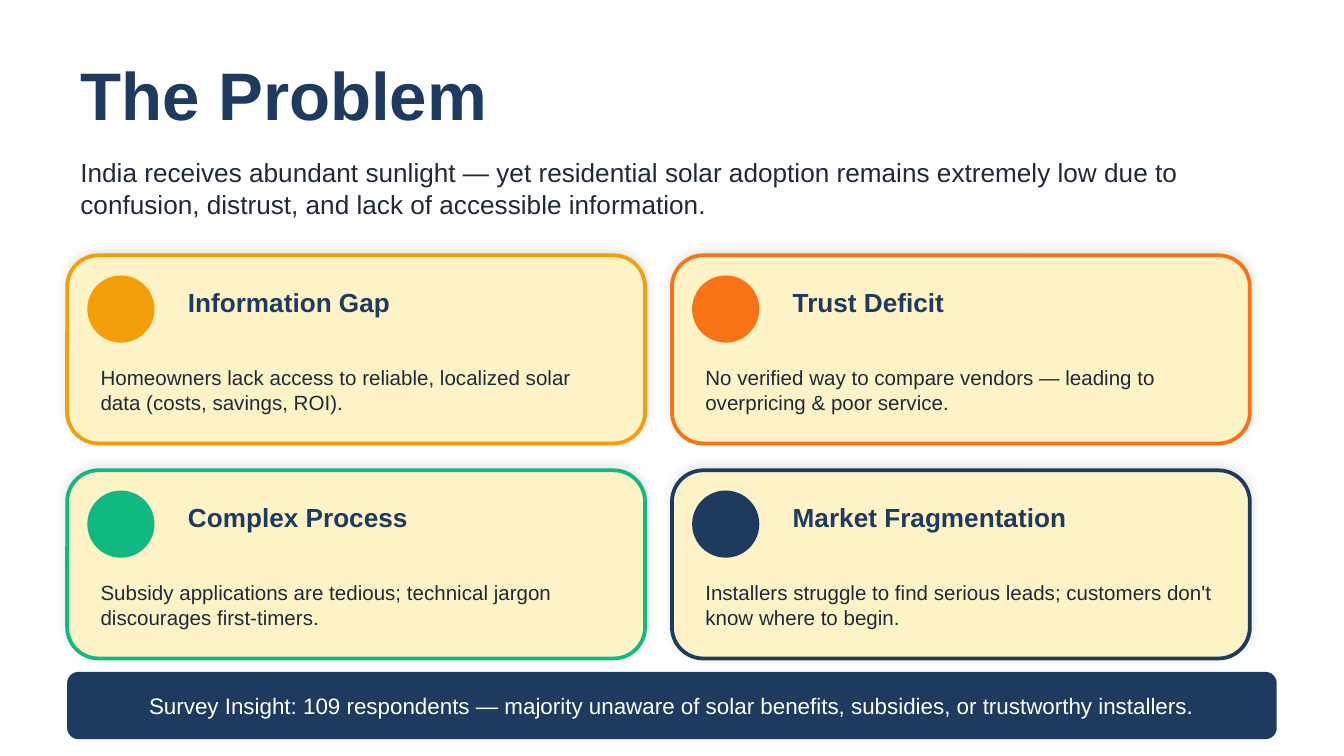
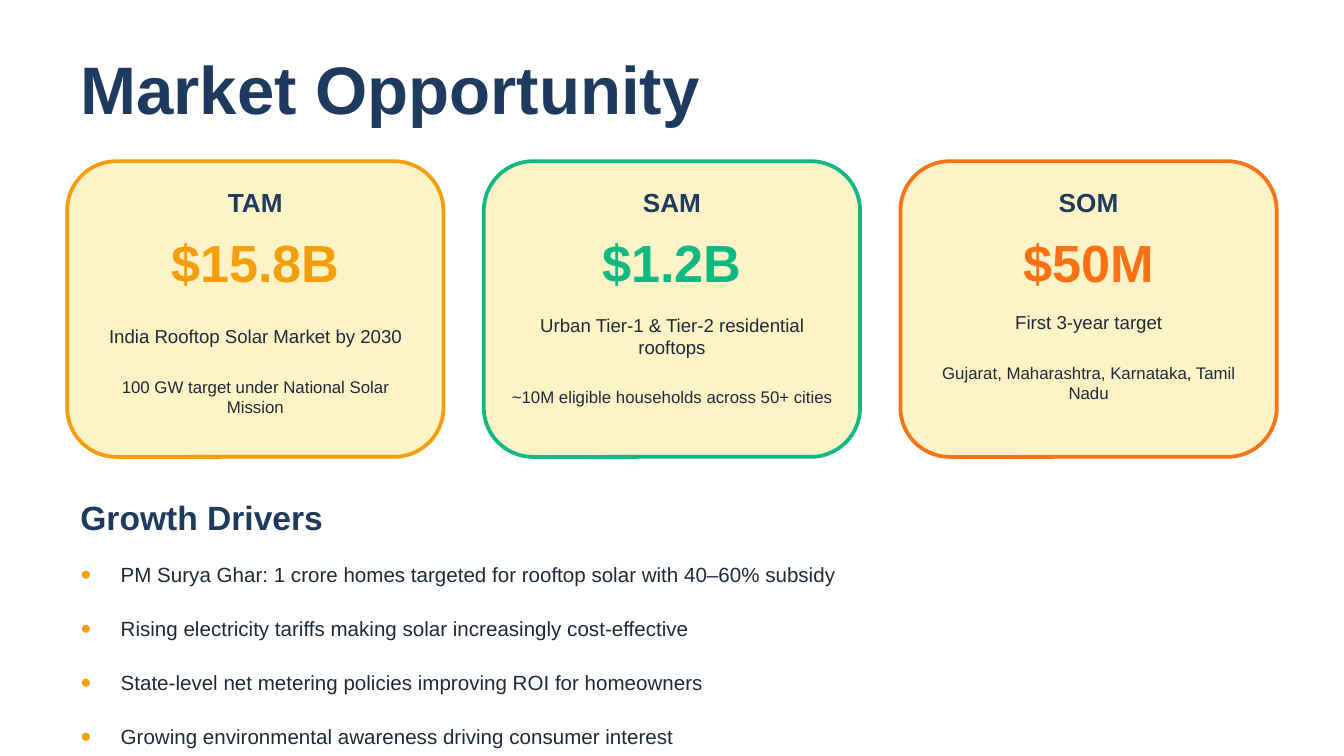
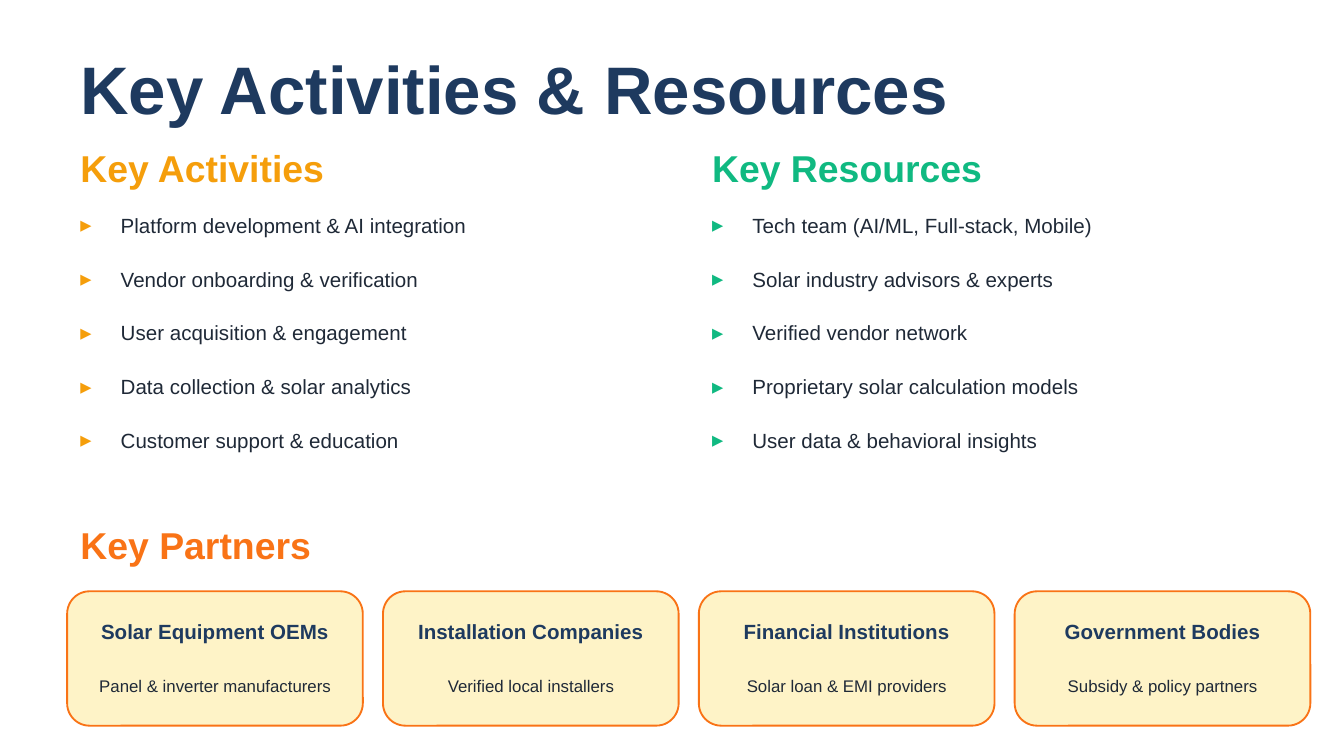
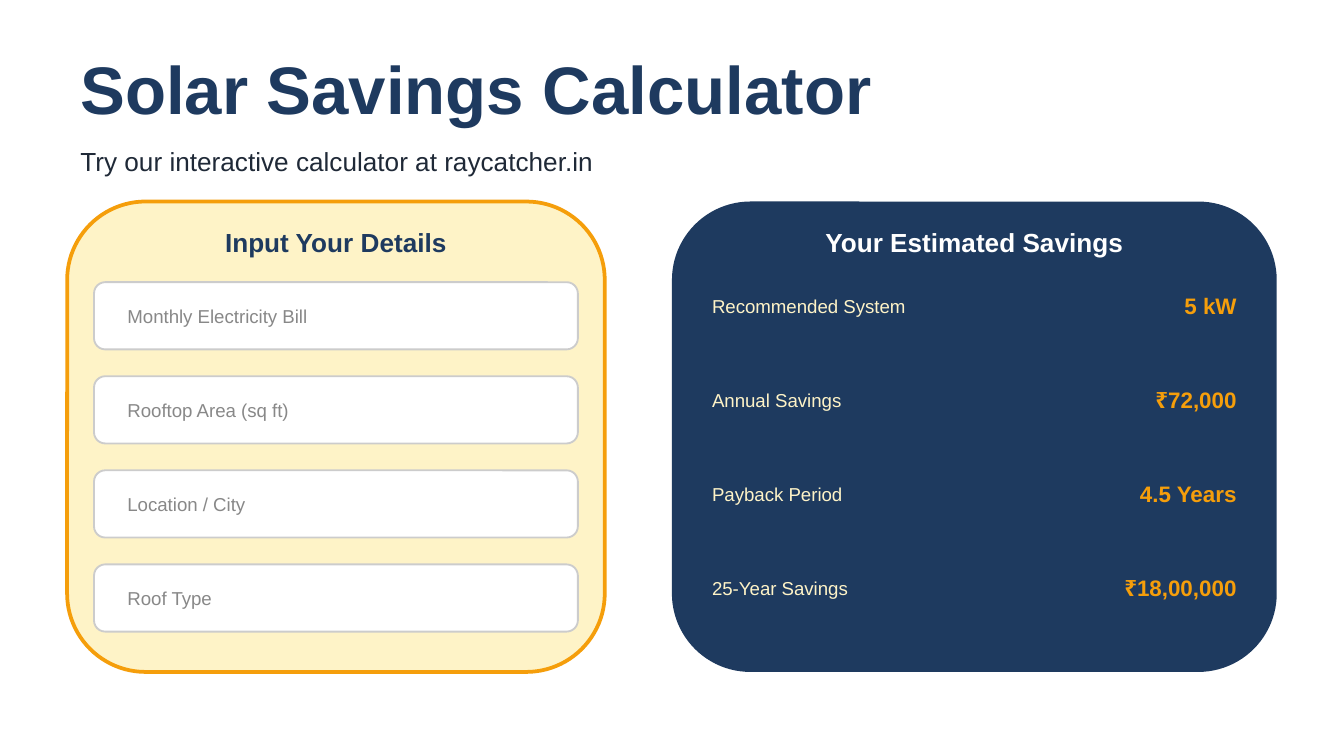
from lxml import etree
from pptx import Presentation
from pptx.dml.color import RGBColor
from pptx.enum import shapes, text
from pptx.oxml import ns
from pptx.util import Inches, Pt

FONT = "Arial"
COLORS = {
    "navy": "1E3A5F",
    "ink": "1F2937",
    "cream": "FEF3C7",
    "amber": "F59E0B",
    "orange": "F97316",
    "green": "10B981",
    "white": "FFFFFF",
    "border": "CCCCCC",
    "hint": "888888",
}
LEFT = 0.5
ROW_STEP = 0.4
LINE_STEP = 0.7
CENTER = text.PP_ALIGN.CENTER
RIGHT = text.PP_ALIGN.RIGHT
ROUNDED = shapes.MSO_SHAPE.ROUNDED_RECTANGLE

PROBLEMS = [
    ("Information Gap", "amber",
     "Homeowners lack access to reliable, localized solar data (costs, savings, ROI)."),
    ("Trust Deficit", "orange",
     "No verified way to compare vendors — leading to overpricing & poor service."),
    ("Complex Process", "green",
     "Subsidy applications are tedious; technical jargon discourages first-timers."),
    ("Market Fragmentation", "navy",
     "Installers struggle to find serious leads; customers don't know where to begin."),
]
MARKETS = [
    ("TAM", "$15.8B", "amber", "India Rooftop Solar Market by 2030",
     "100 GW target under National Solar Mission", 0.6),
    ("SAM", "$1.2B", "green", "Urban Tier-1 & Tier-2 residential rooftops",
     "~10M eligible households across 50+ cities", 0.6),
    ("SOM", "$50M", "orange", "First 3-year target",
     "Gujarat, Maharashtra, Karnataka, Tamil Nadu", 0.4),
]
DRIVERS = [
    "PM Surya Ghar: 1 crore homes targeted for rooftop solar with 40–60% subsidy",
    "Rising electricity tariffs making solar increasingly cost-effective",
    "State-level net metering policies improving ROI for homeowners",
    "Growing environmental awareness driving consumer interest",
]
ACTIVITIES = [
    "Platform development & AI integration",
    "Vendor onboarding & verification",
    "User acquisition & engagement",
    "Data collection & solar analytics",
    "Customer support & education",
]
RESOURCES = [
    "Tech team (AI/ML, Full-stack, Mobile)",
    "Solar industry advisors & experts",
    "Verified vendor network",
    "Proprietary solar calculation models",
    "User data & behavioral insights",
]
PARTNERS = [
    ("Solar Equipment OEMs", "Panel & inverter manufacturers"),
    ("Installation Companies", "Verified local installers"),
    ("Financial Institutions", "Solar loan & EMI providers"),
    ("Government Bodies", "Subsidy & policy partners"),
]
FIELDS = ["Monthly Electricity Bill", "Rooftop Area (sq ft)", "Location / City", "Roof Type"]
SAVINGS = [
    ("Recommended System", "5 kW"),
    ("Annual Savings", "₹72,000"),
    ("Payback Period", "4.5 Years"),
    ("25-Year Savings", "₹18,00,000"),
]


def rgb(name):
    """Return the named palette colour."""
    return RGBColor.from_string(COLORS[name])


def style_font(para, size, color, bold=False):
    """Set the font of a whole paragraph."""
    font = para.font
    font.name, font.size, font.bold = FONT, Pt(size), bold
    font.color.rgb = rgb(color)


def add_box(page, left, top, width, height):
    """Add an empty, wrapping, vertically centred text box and return its frame."""
    box = page.shapes.add_textbox(Inches(left), Inches(top), Inches(width), Inches(height))
    frame = box.text_frame
    frame.word_wrap = True
    frame.vertical_anchor = text.MSO_ANCHOR.MIDDLE
    return frame


def add_label(page, words, left, top, width, height, size, color="ink", bold=False, align=None):
    """Add a one-paragraph text box."""
    para = add_box(page, left, top, width, height).paragraphs[0]
    para.text = words
    para.alignment = align
    style_font(para, size, color, bold)


def add_title(page, words, height=0.7):
    """Add the slide title."""
    add_label(page, words, LEFT, 0.3, 9, height, 36, "navy", True)


def add_panel(page, left, top, width, height, fill="cream", line=None, weight=2, kind=ROUNDED):
    """Add a filled shape with an optional outline."""
    panel = page.shapes.add_shape(kind, Inches(left), Inches(top), Inches(width), Inches(height))
    panel.shadow.inherit = False
    panel.fill.solid()
    panel.fill.fore_color.rgb = rgb(fill)
    if line:
        panel.line.color.rgb = rgb(line)
        panel.line.width = Pt(weight)
    else:
        panel.line.fill.background()
    return panel


def add_soft_shadow(panel):
    """Give a panel a faint shadow that falls upwards."""
    effects = panel.element.spPr.find(ns.qn("a:effectLst"))
    shadow = etree.SubElement(effects, ns.qn("a:outerShdw"), blurRad=str(Pt(5)),
                              dist=str(Pt(2)), dir="16200000", rotWithShape="0")
    color = etree.SubElement(shadow, ns.qn("a:srgbClr"), val="000000")
    etree.SubElement(color, ns.qn("a:alpha"), val="10000")


def add_bullet(para, mark, color, percent):
    """Give a paragraph a coloured hanging bullet."""
    indent = Inches(0.3)
    props = para._p.get_or_add_pPr()
    props.set("marL", str(indent))
    props.set("indent", str(-indent))
    tint = etree.SubElement(props, ns.qn("a:buClr"))
    etree.SubElement(tint, ns.qn("a:srgbClr"), val=COLORS[color])
    etree.SubElement(props, ns.qn("a:buSzPct"), val=str(percent * 1000))
    etree.SubElement(props, ns.qn("a:buFont"), typeface=FONT)
    etree.SubElement(props, ns.qn("a:buChar"), char=mark)


def add_list(page, items, left, top, width, mark, color, percent):
    """Add a bulleted list with one item every ROW_STEP inches."""
    frame = add_box(page, left, top, width, ROW_STEP * len(items) - 0.05)
    for index, item in enumerate(items):
        para = frame.paragraphs[0] if index == 0 else frame.add_paragraph()
        para.text = item
        if index:
            para.space_before = Pt(15.6)
        add_bullet(para, mark, color, percent)
        style_font(para, 11, "ink")


def add_problem_card(page, left, top, heading, color, body):
    """Add a problem card with a coloured dot."""
    add_soft_shadow(add_panel(page, left, top, 4.3, 1.4, line=color))
    add_panel(page, left + 0.15, top + 0.15, 0.5, 0.5, color, kind=shapes.MSO_SHAPE.OVAL)
    add_label(page, heading, left + 0.8, top + 0.15, 3.3, 0.4, 14, "navy", True)
    add_label(page, body, left + 0.15, top + 0.65, 4, 0.7, 11)


def add_market_card(page, left, name, value, color, summary, detail, summary_height):
    """Add a market size card."""
    add_panel(page, left, 1.2, 2.8, 2.2, line=color)
    add_label(page, name, left, 1.3, 2.8, 0.4, 14, "navy", True, CENTER)
    add_label(page, value, left, 1.7, 2.8, 0.5, 28, color, True, CENTER)
    add_label(page, summary, left + 0.1, 2.2, 2.6, summary_height, 10, align=CENTER)
    detail_top = 2.7 if summary_height > 0.5 else 2.6
    add_label(page, detail, left + 0.1, detail_top, 2.6, 0.5, 9, align=CENTER)


def add_partner_card(page, left, name, role):
    """Add a partner card."""
    add_panel(page, left, 4.4, 2.2, 1, line="orange", weight=1)
    add_label(page, name, left + 0.1, 4.5, 2, 0.4, 11, "navy", True, CENTER)
    add_label(page, role, left + 0.1, 4.9, 2, 0.4, 9, align=CENTER)


def build_problem(page):
    """Build the problem slide."""
    add_title(page, "The Problem", 0.8)
    add_label(page, "India receives abundant sunlight — yet residential solar adoption remains "
              "extremely low due to confusion, distrust, and lack of accessible information.",
              LEFT, 1, 9, 0.8, 14)
    for index, problem in enumerate(PROBLEMS):
        row, column = divmod(index, 2)
        add_problem_card(page, LEFT + 4.5 * column, 1.9 + 1.6 * row, *problem)
    add_panel(page, LEFT, 5, 9, 0.5, "navy")
    add_label(page, "Survey Insight: 109 respondents — majority unaware of solar benefits, "
              "subsidies, or trustworthy installers.",
              0.7, 5.05, 8.6, 0.4, 12, "white", align=CENTER)


def build_market(page):
    """Build the market slide."""
    add_title(page, "Market Opportunity")
    for index, market in enumerate(MARKETS):
        add_market_card(page, LEFT + 3.1 * index, *market)
    add_label(page, "Growth Drivers", LEFT, 3.6, 9, 0.5, 18, "navy", True)
    add_list(page, DRIVERS, LEFT, 4.1, 8.8, "●", "amber", 91)


def build_activities(page):
    """Build the activities, resources and partners slide."""
    add_title(page, "Key Activities & Resources")
    columns = [("Key Activities", ACTIVITIES, "amber", LEFT),
               ("Key Resources", RESOURCES, "green", 5.2)]
    for heading, items, color, left in columns:
        add_label(page, heading, left, 1, 4.5, 0.5, 20, color, True)
        add_list(page, items, left, 1.5, 4.5, "▸", color, 109)
    add_label(page, "Key Partners", LEFT, 3.8, 9, 0.5, 20, "orange", True)
    for index, partner in enumerate(PARTNERS):
        add_partner_card(page, LEFT + 2.35 * index, *partner)


def build_calculator(page):
    """Build the savings calculator slide."""
    add_title(page, "Solar Savings Calculator")
    add_label(page, "Try our interactive calculator at raycatcher.in", LEFT, 1, 9, 0.4, 14)
    add_panel(page, LEFT, 1.5, 4, 3.5, line="amber")
    add_label(page, "Input Your Details", LEFT, 1.6, 4, 0.4, 14, "navy", True, CENTER)
    for index, field in enumerate(FIELDS):
        top = 2.1 + LINE_STEP * index
        add_panel(page, 0.7, top, 3.6, 0.5, "white", "border", 1)
        add_label(page, field, 0.85, top + 0.05, 3.3, 0.4, 10, "hint")
    add_panel(page, 5, 1.5, 4.5, 3.5, "navy")
    add_label(page, "Your Estimated Savings", 5, 1.6, 4.5, 0.4, 14, "white", True, CENTER)
    for index, (name, value) in enumerate(SAVINGS):
        top = 2.1 + LINE_STEP * index
        add_label(page, name, 5.2, top, 2.2, 0.35, 10, "cream")
        add_label(page, value, 7.4, top, 1.9, 0.35, 12, "amber", True, RIGHT)


def main():
    """Build and save the widescreen deck."""
    deck = Presentation()
    deck.slide_width = Inches(10)
    deck.slide_height = Inches(10 * 9 / 16)
    for build in (build_problem, build_market, build_activities, build_calculator):
        build(deck.slides.add_slide(deck.slide_layouts[6]))
    deck.save("out.pptx")


if __name__ == "__main__":
    main()
